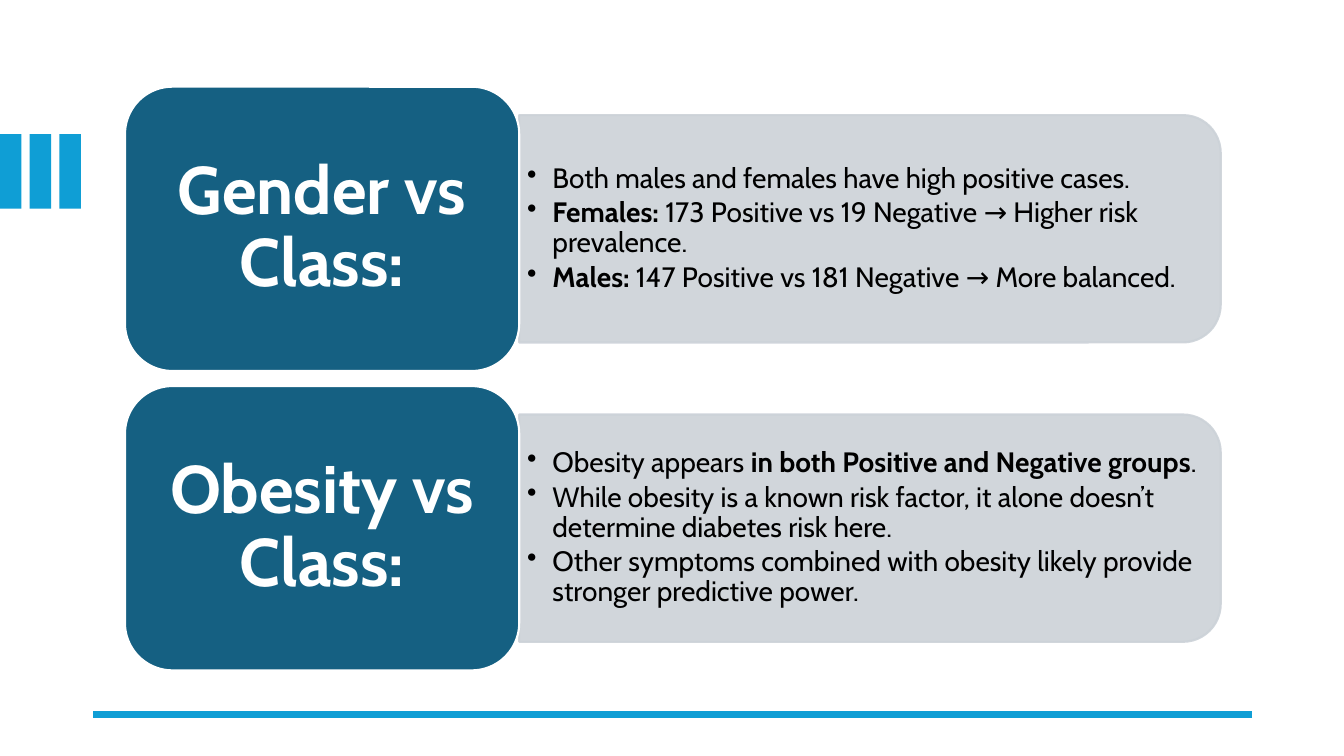
import pptx
import pptx.util
import pptx.dml.color
import pptx.enum.shapes
import pptx.enum.text
import pptx.oxml
import pptx.oxml.ns

KINDS = pptx.enum.shapes.MSO_SHAPE
ALIGN = pptx.enum.text.PP_ALIGN
MIDDLE = pptx.enum.text.MSO_ANCHOR.MIDDLE
Pt, Inches = pptx.util.Pt, pptx.util.Inches

SKY, TEAL, GREY, WHITE, BLACK = "0F9ED5", "156082", "CCD2D8", "FFFFFF", "000000"

# Each topic: heading, then bullets as (text, bold) runs
TOPICS = [
    ("Gender vs Class:", [
        [("Both males and females have high positive cases.", False)],
        [("Females:", True),
         (" 173 Positive vs 19 Negative → Higher risk prevalence.", False)],
        [("Males:", True),
         (" 147 Positive vs 181 Negative → More balanced.", False)],
    ]),
    ("Obesity vs Class:", [
        [("Obesity appears ", False),
         ("in both Positive and Negative groups", True), (".", False)],
        [("While obesity is a known risk factor, it alone doesn’t "
          "determine diabetes risk here.", False)],
        [("Other symptoms combined with obesity likely provide "
          "stronger predictive power.", False)],
    ]),
]


def tint(color, code):
    color.rgb = pptx.dml.color.RGBColor.from_string(code)


def assign(target, values):
    for name, value in values.items():
        setattr(target, name, value)


def add_xml(parent, tag, **attrs):
    node = pptx.oxml.parse_xml(f"<a:{tag} {pptx.oxml.ns.nsdecls('a')}/>")
    for name, value in attrs.items():
        node.set(name, value)
    parent.append(node)


class Board:
    """The current slide, measured on a grid of 100 columns by 100 rows."""

    font = "Cabin"

    def __init__(self, deck):
        self.slide = deck.slides.add_slide(deck.slide_layouts[6])
        self.col = deck.slide_width / 100
        self.row = deck.slide_height / 100

    def place(self, x, y, w, h):
        return [round(n) for n in
                (x * self.col, y * self.row, w * self.col, h * self.row)]

    def shape(self, kind, box, fill, edge=None):
        item = self.slide.shapes.add_shape(kind, *box)
        item.shadow.inherit = False
        item.fill.solid()
        tint(item.fill.fore_color, fill)
        if edge:
            tint(item.line.color, edge)
            item.line.width = Pt(1.5)
        else:
            item.line.fill.background()
        return item

    def bar(self, *cells):
        self.shape(KINDS.RECTANGLE, self.place(*cells), SKY)

    def panel(self, *cells):
        """Draw a see-through panel, rounded on its right side only."""
        x, y, w, h = self.place(*cells)
        box = x + (w - h) // 2, y + (h - w) // 2, h, w
        item = self.shape(KINDS.ROUND_2_SAME_RECTANGLE, box, GREY, GREY)
        item.rotation = 90
        for color in item._element.spPr.iter(pptx.oxml.ns.qn("a:srgbClr")):
            add_xml(color, "alpha", val="90000")

    def add_runs(self, para, runs, size, code):
        para.line_spacing = 0.9
        for text, bold in runs:
            run = para.add_run()
            run.text = text
            assign(run.font, {"name": self.font, "size": Pt(size), "bold": bold})
            tint(run.font.color, code)

    def frame(self, item, side, edge):
        """Set the text margins, centre the text upright and return its frame."""
        frame = item.text_frame
        assign(frame, {
            "word_wrap": True, "vertical_anchor": MIDDLE,
            "margin_left": Inches(side), "margin_right": Inches(side),
            "margin_top": Inches(edge), "margin_bottom": Inches(edge)})
        return frame

    def tile(self, text, *cells):
        item = self.shape(KINDS.ROUNDED_RECTANGLE, self.place(*cells), TEAL, WHITE)
        para = self.frame(item, 0.14, 0.1).paragraphs[0]
        para.alignment = ALIGN.CENTER
        self.add_runs(para, [(text, True)], 48, WHITE)

    def bullets(self, points, *cells):
        item = self.slide.shapes.add_textbox(*self.place(*cells))
        frame = self.frame(item, 0.08, 0.04)
        for i, runs in enumerate(points):
            para = frame.add_paragraph() if i else frame.paragraphs[0]
            self.add_runs(para, runs, 20, BLACK)
            para.space_after = Pt(3)
            props = para._p.get_or_add_pPr()
            props.set("marL", str(Inches(0.25)))
            props.set("indent", str(-Inches(0.25)))
            add_xml(props, "buChar", char="•")

    def rule(self, start, end, y):
        x1, y1, x2, y2 = self.place(start, y, end, y)
        line = self.slide.shapes.add_connector(
            pptx.enum.shapes.MSO_CONNECTOR.STRAIGHT, x1, y1, x2, y2)
        tint(line.line.color, SKY)
        line.line.width = Pt(4.5)
        add_xml(line._element.spPr, "effectLst")


def main():
    deck = pptx.Presentation()
    assign(deck, {"slide_width": Inches(13.33), "slide_height": Inches(7.5)})
    board = Board(deck)

    for i in range(3):
        board.bar(i * 2.21, 17.73, 1.6, 9.87)

    left, top, wide, high, step = 9.3, 11.47, 29.33, 37.6, 39.6
    right = left + wide
    for i, (head, points) in enumerate(TOPICS):
        y = top + i * step
        inner = y + high * 0.1, high * 0.8
        board.panel(right, inner[0], 52.2, inner[1])
        board.bullets(points, right, inner[0], 51.4, inner[1])
        board.tile(head, left, y, wide, high)

    board.rule(93.17, 6.9, 94.53)
    deck.save("out.pptx")


if __name__ == "__main__":
    main()
